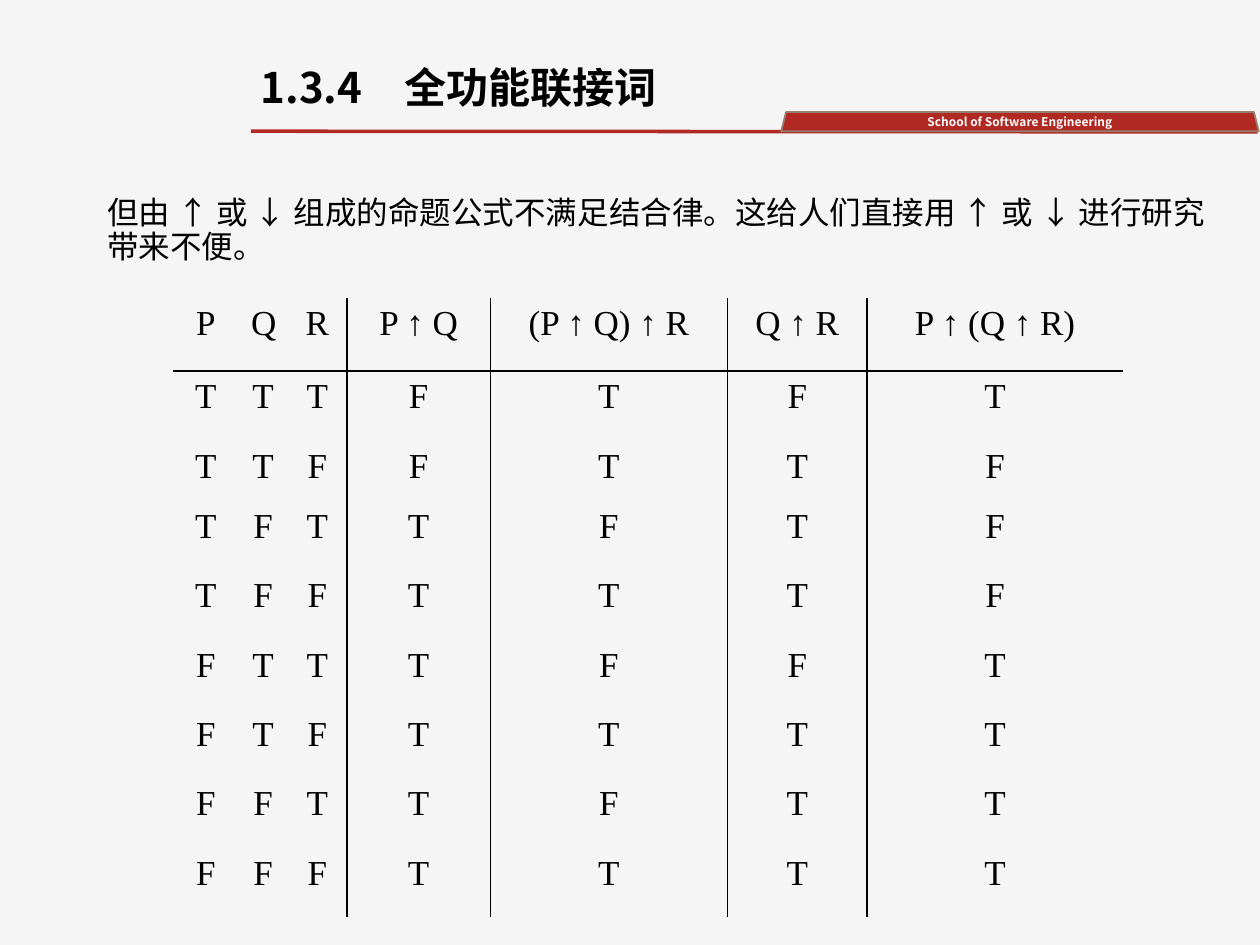
from dataclasses import dataclass
from itertools import product

from pptx import Presentation
from pptx.dml.color import RGBColor
from pptx.enum import shapes, text
from pptx.oxml import ns, xmlchemy as xml
from pptx.util import Pt


@dataclass(frozen=True)
class Theme:
    back: str = "F5F5F5"
    ink: str = "000000"
    red: str = "B12923"
    edge: str = "968071"
    white: str = "FFFFFF"
    sans: str = "Noto Sans CJK SC"
    serif: str = "Times New Roman"
    head: float = 24
    body: float = 18
    cell: float = 20
    tag: float = 6.8


@dataclass(frozen=True)
class Box:
    left: float
    top: float
    width: float
    height: float

    def args(self) -> tuple:
        return Pt(self.left), Pt(self.top), Pt(self.width), Pt(self.height)


@dataclass(frozen=True)
class Style:
    font: str
    size: float
    ink: str
    bold: bool = False
    align: text.PP_ALIGN = text.PP_ALIGN.CENTER


@dataclass(frozen=True)
class Block:
    slot: int
    box: Box
    words: str
    style: Style


THEME = Theme()
SPACING = 0.9
COLS = (37.4, 28.1, 33.8, 82.1, 135.4, 79.9, 146.2)
ROWS = (41.8, 39.6, 34.6) + (39.6,) * 6
HEADS = ("P", "Q", "R", "P ↑ Q", "(P ↑ Q) ↑ R", "Q ↑ R", "P ↑ (Q ↑ R)")
RULED = range(2, 6)
GRID = Box(98.9, 170.3, sum(COLS), sum(ROWS))
PLAIN = "{2D5ABB26-0587-4C30-8999-92F81FD0307C}"
BLOCKS = (
    Block(0, Box(141.8, 34.6, 327.6, 40.3), "1.3.4　全功能联接词",
          Style(THEME.sans, THEME.head, THEME.ink, True, text.PP_ALIGN.LEFT)),
    Block(1, Box(54, 109.4, 642.2, 375.1),
          "但由 ↑ 或 ↓ 组成的命题公式不满足结合律。这给人们直接用 ↑ 或 ↓ 进行研究带来不便。",
          Style(THEME.sans, THEME.body, THEME.ink, align=text.PP_ALIGN.JUSTIFY)),
)


def tint(code: str) -> RGBColor:
    return RGBColor.from_string(code)


def add(parent, tag: str, **attrs: str):
    node = xml.OxmlElement(tag)
    for name, value in attrs.items():
        node.set(name, value)
    parent.append(node)
    return node


def write(para, words: str, style: Style) -> None:
    para.alignment = style.align
    run = para.add_run()
    run.text = words
    font = run.font
    font.name, font.size, font.bold = style.font, Pt(style.size), style.bold
    font.color.rgb = tint(style.ink)
    add(font._element, "a:ea", typeface=style.font)


def fill_block(slide, block: Block) -> None:
    holder = slide.placeholders[block.slot]
    holder.left, holder.top, holder.width, holder.height = block.box.args()
    frame = holder.text_frame
    frame.auto_size = text.MSO_AUTO_SIZE.NONE
    frame.vertical_anchor = text.MSO_ANCHOR.TOP
    frame.word_wrap = True
    para = frame.paragraphs[0]
    props = para._p.get_or_add_pPr()
    props.set("marL", "0")
    props.set("indent", "0")
    add(props, "a:buNone")
    para.line_spacing = SPACING
    para.space_before = Pt(0)
    write(para, block.words, block.style)


def draw_band(slide) -> None:
    line = slide.shapes.add_connector(
        shapes.MSO_CONNECTOR.STRAIGHT, Pt(143.3), Pt(75), Pt(718.6), Pt(75.4))
    line.line.color.rgb = tint(THEME.red)
    line.line.width = Pt(2)
    add(line._element.spPr, "a:effectLst")
    band = slide.shapes.add_shape(
        shapes.MSO_SHAPE.TRAPEZOID, *Box(446.4, 64.1, 272.9, 11).args())
    band.shadow.inherit = False
    band.fill.solid()
    band.fill.fore_color.rgb = tint(THEME.red)
    band.line.color.rgb = tint(THEME.edge)
    band.line.width = Pt(1)
    frame = band.text_frame
    frame.margin_top = frame.margin_bottom = 0
    frame.vertical_anchor = text.MSO_ANCHOR.MIDDLE
    write(frame.paragraphs[0], "School of Software Engineering",
          Style(THEME.sans, THEME.tag, THEME.white, True))


def rule(cell, side: str, shown: bool) -> None:
    edge = add(cell._tc.get_or_add_tcPr(), f"a:{side}", w=str(Pt(1)))
    if shown:
        add(add(edge, "a:solidFill"), "a:srgbClr", val=THEME.ink)
    else:
        add(edge, "a:noFill")


def nand(a: bool, b: bool) -> bool:
    return not (a and b)


def truth() -> list[tuple[str, ...]]:
    rows = []
    for p, q, r in product((True, False), repeat=3):
        pq, qr = nand(p, q), nand(q, r)
        vals = (p, q, r, pq, nand(pq, r), qr, nand(p, qr))
        rows.append(tuple("T" if val else "F" for val in vals))
    return rows


def draw_table(slide) -> None:
    table = slide.shapes.add_table(len(ROWS), len(COLS), *GRID.args()).table
    table.first_row = table.horz_banding = False
    table._tbl.tblPr.find(ns.qn("a:tableStyleId")).text = PLAIN
    for col, width in zip(table.columns, COLS):
        col.width = Pt(width)
    for row, height in zip(table.rows, ROWS):
        row.height = Pt(height)
    style = Style(THEME.serif, THEME.cell, THEME.ink)
    for i, row in enumerate([HEADS, *truth()]):
        for j, words in enumerate(row):
            cell = table.cell(i, j)
            write(cell.text_frame.paragraphs[0], words, style)
            sides = (("lnL", j - 1 in RULED), ("lnR", j in RULED),
                     ("lnT", i == 1), ("lnB", i == 0))
            for side, shown in sides:
                rule(cell, side, shown)
            cell.fill.background()


def main() -> None:
    deck = Presentation()
    deck.slide_width, deck.slide_height = Pt(720), Pt(540)
    slide = deck.slides.add_slide(deck.slide_layouts[1])
    slide.background.fill.solid()
    slide.background.fill.fore_color.rgb = tint(THEME.back)
    draw_band(slide)
    for block in BLOCKS:
        fill_block(slide, block)
    draw_table(slide)
    deck.save("out.pptx")


if __name__ == "__main__":
    main()
